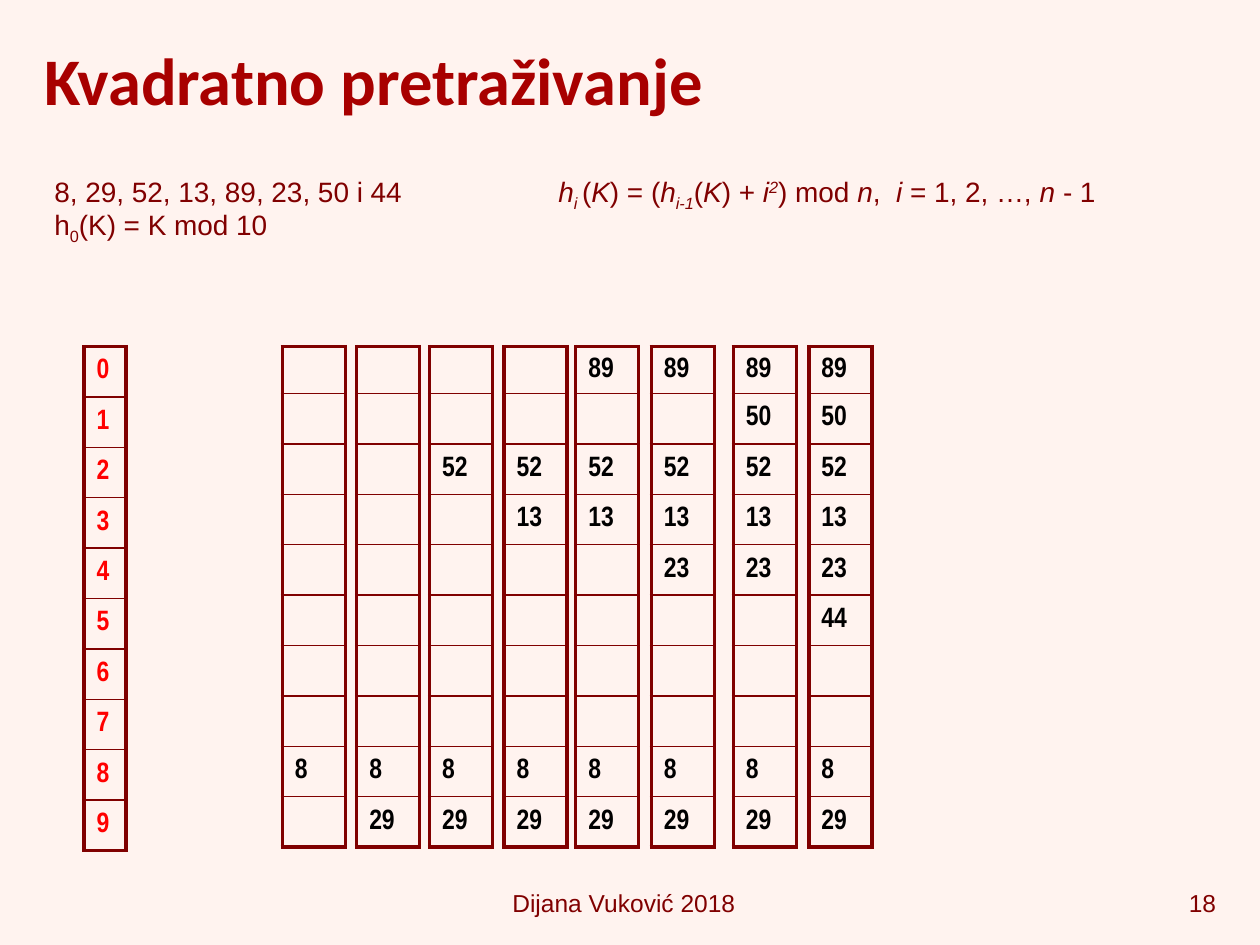
from dataclasses import dataclass
from typing import Any

from lxml.etree import SubElement
from pptx import Presentation
from pptx.dml.color import RGBColor
from pptx.enum.text import MSO_ANCHOR as Anchor, PP_ALIGN as Align
from pptx.oxml.ns import qn
from pptx.util import Pt

BACKGROUND = RGBColor(0xFF, 0xF3, 0xEF)
TITLE_RED = RGBColor(0xA8, 0x00, 0x00)
MAROON = RGBColor(0x80, 0x00, 0x00)
INDEX_RED = RGBColor(0xFF, 0x00, 0x00)
BLACK = RGBColor(0x00, 0x00, 0x00)

KEYS = [8, 29, 52, 13, 89, 23, 50, 44]
SLOTS = 10
TABLE_TOP = 198
TABLE_LEFTS = [161.3, 203.8, 245.5, 288, 329, 372.2, 419, 462.2]
SUB, SUPER = -25000, 30000

INPUT_LINES = [
    [("8, 29, 52, 13, 89, 23, 50 i 44", False, 0)],
    [("h", False, 0), ("0", False, SUB), ("(K) = K mod 10", False, 0)],
]
FORMULA = [
    ("h", True, 0), ("i ", True, SUB), ("(", False, 0), ("K", True, 0),
    (") = (", False, 0), ("h", True, 0), ("i-1", True, SUB), ("(", False, 0),
    ("K", True, 0), (") + ", False, 0), ("i", True, 0), ("2", True, SUPER),
    (") mod ", False, 0), ("n", True, 0), (",  ", False, 0), ("i", True, 0),
    (" = 1, 2, …, ", False, 0), ("n ", True, 0), ("- 1", False, 0),
]


def probe_states(keys):
    """Return the hash table after each insertion with quadratic probing."""
    slots, states = [""] * SLOTS, []
    for key in keys:
        slot, step = key % SLOTS, 0
        while slots[slot]:
            step += 1
            slot = (slot + step ** 2) % SLOTS
        slots[slot] = str(key)
        states.append(list(slots))
    return states


@dataclass
class SlideBuilder:
    page: Any
    text_font: str = "Arial"
    title_font: str = "Calibri"
    cell_font: str = "Arial Narrow"

    def format_span(self, span, font, size, color, bold=False, italic=False):
        span.font.name, span.font.size = font, Pt(size)
        span.font.bold, span.font.italic = bold, italic
        span.font.color.rgb = color

    def title(self, text, left, top, width, height):
        box = self.page.shapes.title
        box.left, box.top, box.width, box.height = map(Pt, (left, top, width, height))
        frame = box.text_frame
        frame.text = text
        frame.vertical_anchor = Anchor.MIDDLE
        para = frame.paragraphs[0]
        para.alignment = Align.LEFT
        self.format_span(para.runs[0], self.title_font, 38, TITLE_RED, bold=True)

    def text(self, lines, left, top, width, height, size=16, align=Align.LEFT):
        """Add a box; each line is a list of (text, italic, baseline) spans."""
        box = self.page.shapes.add_textbox(*map(Pt, (left, top, width, height)))
        frame = box.text_frame
        frame.word_wrap = True
        for number, line in enumerate(lines):
            para = frame.add_paragraph() if number else frame.paragraphs[0]
            para.alignment = align
            for text, italic, baseline in line:
                span = para.add_run()
                span.text = text
                self.format_span(span, self.text_font, size, MAROON, italic=italic)
                if baseline:
                    span.font._element.set("baseline", str(baseline))

    def borders(self, cell, top, bottom):
        """Draw thick sides, and top and bottom lines of the given widths."""
        properties = cell._tc.get_or_add_tcPr()
        for side, width in (("L", 2.25), ("R", 2.25), ("T", top), ("B", bottom)):
            line = SubElement(properties, qn(f"a:ln{side}"), w=str(Pt(width)))
            fill = SubElement(line, qn("a:solidFill"))
            SubElement(fill, qn("a:srgbClr"), val=str(MAROON))

    def column(self, values, left, width, first_height, color):
        """Add a one-column table with one row for each slot."""
        heights = [first_height] + [28.8] * (len(values) - 1)
        table = self.page.shapes.add_table(
            len(values), 1, Pt(left), Pt(TABLE_TOP), Pt(width), Pt(sum(heights))
        ).table
        table.first_row = table.horz_banding = False
        last = len(values) - 1
        for row, (value, height) in enumerate(zip(values, heights)):
            table.rows[row].height = Pt(height)
            cell = table.cell(row, 0)
            self.borders(cell, 2.25 if row == 0 else 1, 2.25 if row == last else 1)
            cell.fill.background()
            cell.margin_top = cell.margin_bottom = 0
            cell.vertical_anchor = Anchor.MIDDLE
            if value:
                cell.text_frame.text = value
                span = cell.text_frame.paragraphs[0].runs[0]
                self.format_span(span, self.cell_font, 16, color, bold=True)


def main():
    deck = Presentation()
    deck.slide_width, deck.slide_height = Pt(720), Pt(540)
    page = deck.slides.add_slide(deck.slide_layouts[5])
    page.background.fill.solid()
    page.background.fill.fore_color.rgb = BACKGROUND

    builder = SlideBuilder(page)
    builder.title("Kvadratno pretraživanje", 18, 6, 684, 78)
    builder.text(INPUT_LINES, 24, 96, 288, 50)
    builder.text([FORMULA], 312, 96, 394, 55)

    builder.column([str(slot) for slot in range(SLOTS)], 48, 24, 28.8, INDEX_RED)
    for left, state in zip(TABLE_LEFTS, probe_states(KEYS)):
        builder.column(state, left, 36, 26.9, BLACK)

    builder.text([[("Dijana Vuković 2018", False, 0)]], 269, 504, 175, 24, 14, Align.CENTER)
    builder.text([[("18", False, 0)]], 558, 504, 144, 24, 14, Align.RIGHT)
    deck.save("out.pptx")


if __name__ == "__main__":
    main()
